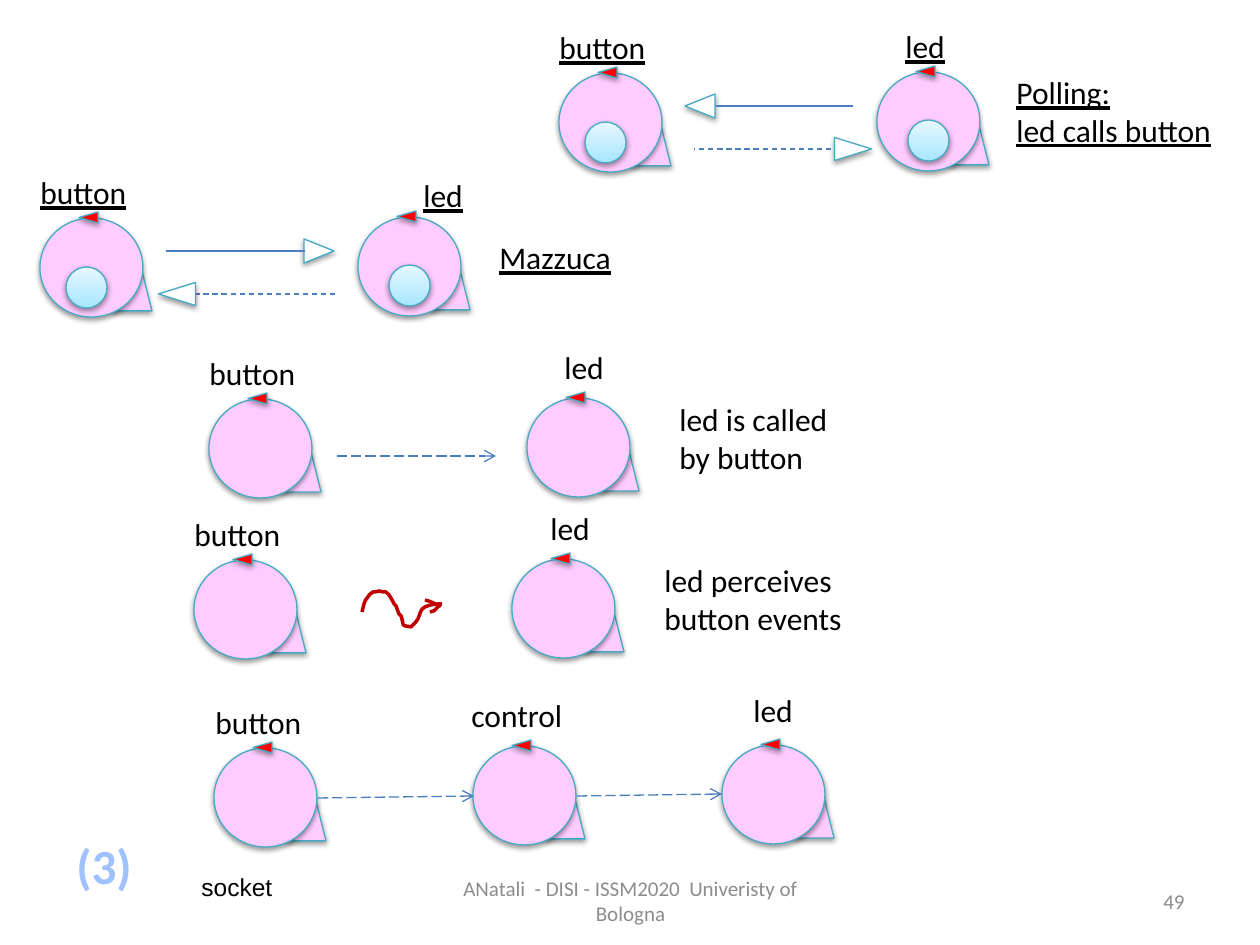
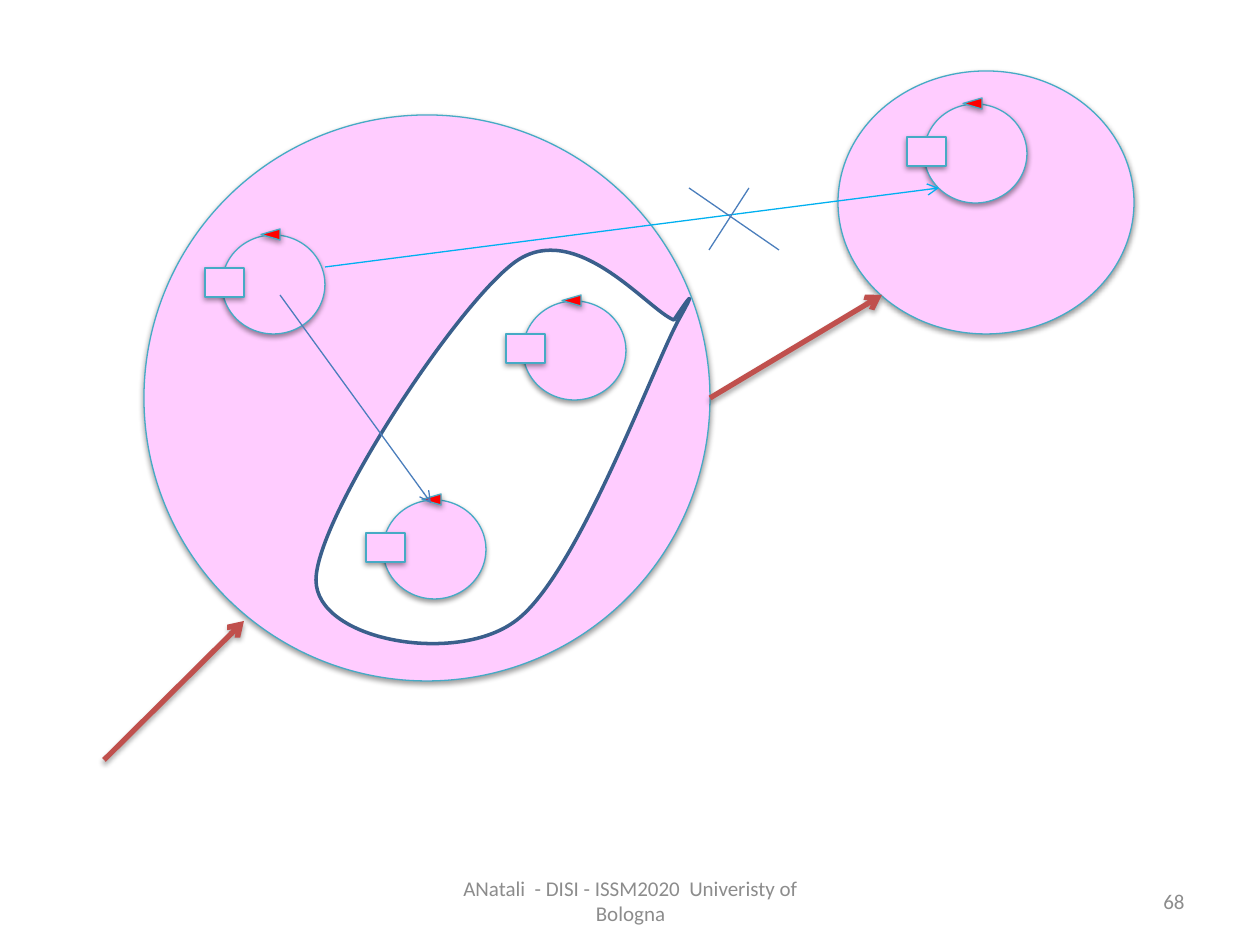
from lxml import etree
from pptx import Presentation
from pptx.dml.color import RGBColor
from pptx.enum.dml import MSO_LINE
from pptx.enum.shapes import MSO_CONNECTOR, MSO_SHAPE
from pptx.enum.text import MSO_ANCHOR, MSO_AUTO_SIZE, PP_ALIGN
from pptx.oxml.ns import qn
from pptx.util import Emu, Pt

PX = 914400 / 126

PINK = RGBColor(0xFF, 0xCC, 0xFF)
TEAL = RGBColor(0x46, 0xAA, 0xC5)
RED = RGBColor(0xFF, 0x00, 0x00)
WHITE = RGBColor(0xFF, 0xFF, 0xFF)
BLACK = RGBColor(0x00, 0x00, 0x00)
GREY = RGBColor(0x8C, 0x8C, 0x8C)
BLUE = RGBColor(0x4B, 0x7E, 0xBC)
NAVY = RGBColor(0x3A, 0x5F, 0x8C)
CYAN = RGBColor(0x00, 0xB0, 0xF0)
PALE_BLUE = RGBColor(0xA0, 0xC1, 0xFF)
CORE_DARK = RGBColor(0xA7, 0xE6, 0xFF)
CORE_LIGHT = RGBColor(0xE7, 0xF8, 0xFF)
BRICK = RGBColor(0xC0, 0x50, 0x4D)
CRIMSON = RGBColor(0xC0, 0x00, 0x00)

OVAL = MSO_SHAPE.OVAL
TRIANGLE = MSO_SHAPE.ISOSCELES_TRIANGLE
RECTANGLE = MSO_SHAPE.RECTANGLE
PARALLELOGRAM = MSO_SHAPE.PARALLELOGRAM
STRAIGHT = MSO_CONNECTOR.STRAIGHT
DASH, LONG_DASH = MSO_LINE.DASH, MSO_LINE.LONG_DASH
LEFT, CENTER, RIGHT = PP_ALIGN.LEFT, PP_ALIGN.CENTER, PP_ALIGN.RIGHT
TOP, MIDDLE = MSO_ANCHOR.TOP, MSO_ANCHOR.MIDDLE
GROW, FIXED = MSO_AUTO_SIZE.SHAPE_TO_FIT_TEXT, MSO_AUTO_SIZE.NONE

LED_DX, LED_DY = 318, -1
FOOTER = "ANatali  - DISI - ISSM2020  Univeristy of Bologna"
LABEL_WIDTHS = {"button": 113, "led": 66, "control": 117}

# Each outline: frame (left, top, right, bottom), start, then segments of
# one point (straight) or three points (cubic curve).
SQUIGGLE = ((362, 591, 443, 627), (362, 612), [
    ((363, 609), (364, 600), (368, 597)),
    ((369, 596), (370, 593), (373, 592)),
    ((374, 592), (377, 592), (379, 591)),
    ((382, 592), (384, 592), (386, 592)),
    ((391, 595), (393, 604), (396, 606)),
    ((399, 614),),
    ((401, 615), (402, 617), (402, 619)),
    ((404, 627), (401, 625), (411, 627)),
    ((416, 622), (416, 622), (418, 619)),
    ((420, 615), (420, 609), (425, 607)),
    ((432, 604), (436, 604), (442, 604)),
])
SQUIGGLE_BARBS = [
    ((425, 600, 441, 606), (441, 606), [((427, 601), (433, 602), (425, 600))]),
    ((430, 604, 441, 612), (441, 604), [((432, 612), (437, 610), (430, 612))]),
]
HOLE = ((316, 249, 689, 644), (316, 580), [
    ((316, 640), (454, 665), (514, 622)),
    ((575, 580), (651, 372), (678, 321)),
    ((706, 271), (674, 320), (674, 320)),
    ((648, 310), (576, 218), (515, 262)),
    ((455, 306), (316, 519), (316, 580)),
])


def emu(*lengths):
    return [Emu(round(n * PX)) for n in lengths]


def set_shadow(sp, alpha=38, dist=1.6):
    effects = sp._element.spPr.find(qn("a:effectLst"))
    shadow = etree.SubElement(effects, qn("a:outerShdw"), blurRad=str(Pt(3.1)),
                              dist=str(Pt(dist)), dir="5400000", rotWithShape="0")
    color = etree.SubElement(shadow, qn("a:srgbClr"), val="000000")
    etree.SubElement(color, qn("a:alpha"), val=str(alpha * 1000))


def shape(s, kind, x, y, w, h, fill=PINK, rotation=0):
    """Filled preset with the thin teal outline and soft shadow."""
    sp = s.shapes.add_shape(kind, *emu(x, y, w, h))
    sp.rotation = rotation
    if fill:
        sp.fill.solid()
        sp.fill.fore_color.rgb = fill
    sp.line.color.rgb = TEAL
    sp.line.width = Pt(0.75)
    sp.shadow.inherit = False
    set_shadow(sp)
    return sp


def text(s, lines, x, y, w, h, size=18, font="Calibri", color=BLACK, bold=False,
         underline=False, align=LEFT, anchor=TOP, wrap=False):
    tf = s.shapes.add_textbox(*emu(x, y, w, h)).text_frame
    tf.word_wrap = wrap
    tf.auto_size = FIXED if wrap else GROW
    tf.vertical_anchor = anchor
    for i, content in enumerate(lines.split("\n")):
        p = tf.add_paragraph() if i else tf.paragraphs[0]
        p.alignment = align
        r = p.add_run()
        r.text = content
        r.font.name = font
        r.font.size = Pt(size)
        r.font.color.rgb = color
        r.font.bold = bold
        r.font.underline = underline


def line(s, x1, y1, x2, y2, color=BLUE, width=0.75, dash=None, arrow=False, shadow=False):
    c = s.shapes.add_connector(STRAIGHT, *emu(x1, y1, x2, y2))
    c.line.color.rgb = color
    c.line.width = Pt(width)
    if dash:
        c.line.dash_style = dash
    if arrow:
        etree.SubElement(c.line._get_or_add_ln(), qn("a:tailEnd"), type="arrow")
    etree.SubElement(c._element.spPr, qn("a:effectLst"))
    if shadow:
        set_shadow(c, alpha=35, dist=1.8)


def curve(s, outline, color, fill=None):
    """Freeform spanning its frame, with the frame's diagonal replaced by curves."""
    (left, top, right, bottom), start, segments = outline
    builder = s.shapes.build_freeform(*emu(left, top))
    builder.add_line_segments([emu(right, bottom)], close=False)
    sp = builder.convert_to_shape()
    track = sp._element.spPr.find(".//" + qn("a:path"))
    for step in list(track):
        track.remove(step)

    def add_step(tag, points):
        step = etree.SubElement(track, qn(tag))
        for x, y in points:
            dx, dy = emu(x - left, y - top)
            etree.SubElement(step, qn("a:pt"), x=str(dx), y=str(dy))

    add_step("a:moveTo", [start])
    for points in segments:
        add_step("a:lnTo" if len(points) == 1 else "a:cubicBezTo", points)
    if fill:
        add_step("a:close", [])
        sp.fill.solid()
        sp.fill.fore_color.rgb = fill
    else:
        sp.fill.background()
    sp.line.color.rgb = color
    sp.line.width = Pt(2)
    sp.shadow.inherit = False


def body(s, x, y):
    shape(s, OVAL, x, y, 103, 99)


def marker(s, x, y):
    shape(s, TRIANGLE, x + 43, y - 10, 11, 19, RED, 270)


def actor(s, x, y, label, dx, dy, underline=False):
    """Circle with a foot behind it and a label placed relative to it."""
    foot = shape(s, PARALLELOGRAM, x + 63, y + 53, 49, 40)
    foot._element.spPr.find(qn("a:xfrm")).set("flipV", "1")
    body(s, x, y)
    marker(s, x, y)
    text(s, label, x + dx, y + dy, LABEL_WIDTHS[label], 50, underline=underline)


def component(s, x, y):
    """Circle with a small port on its left side."""
    body(s, x, y)
    shape(s, RECTANGLE, x - 17, y + 33, 39, 29)
    marker(s, x, y)


def core(s, x, y):
    sp = shape(s, OVAL, x, y, 41, 41, fill=None)
    sp.fill.gradient()
    sp.fill.gradient_angle = 90
    for stop, color in zip(sp.fill.gradient_stops, (CORE_DARK, CORE_LIGHT)):
        stop.color.rgb = color


def pair(s, x, y, led_dx, led_dy, underline=False):
    """A button and, to its right, a led."""
    actor(s, x, y, "button", -12, -51, underline)
    actor(s, x + LED_DX, y + LED_DY, "led", led_dx, led_dy, underline)


def cored_pair(s, x, y, led_dx, led_dy):
    pair(s, x, y, led_dx, led_dy, underline=True)
    core(s, x + 26, y + 49)
    core(s, x + LED_DX + 31, y + LED_DY + 48)


def head(s, cx, cy, base, length, rotation):
    """White triangular arrowhead centred on a point."""
    shape(s, TRIANGLE, cx - base / 2, cy - length / 2, base, length, WHITE, rotation)


def request(s, start, end, cx, y, rotation):
    head(s, cx, y, 24, 30, rotation)
    line(s, start, y, end, y)


def reply(s, start, end, cx, y, rotation):
    line(s, start, y, end, y, dash=DASH)
    head(s, cx, y, 23, 37, rotation)


def footer(s, number):
    style = dict(size=12, color=GREY, anchor=MIDDLE, wrap=True)
    text(s, FOOTER, 431, 876, 399, 50, align=CENTER, **style)
    text(s, str(number), 903, 876, 294, 50, align=RIGHT, **style)


def interactions_slide(s):
    footer(s, 49)
    text(s, "(3)", 63, 829, 82, 72, size=28, color=PALE_BLUE, bold=True, align=CENTER)
    text(s, "socket", 189, 866, 97, 43, size=14, font="Arial")

    pair(s, 209, 399, 25, -56)
    line(s, 337, 456, 496, 456, dash=LONG_DASH, arrow=True)
    text(s, "led is called\nby button", 667, 394, 175, 89)

    pair(s, 194, 560, 26, -56)
    text(s, "led perceives\nbutton events", 652, 555, 205, 89)
    curve(s, SQUIGGLE, CRIMSON)
    for barb in SQUIGGLE_BARBS:
        curve(s, barb, CRIMSON)

    actor(s, 214, 748, "button", -11, -51)
    actor(s, 722, 745, "led", 19, -60)
    actor(s, 473, 746, "control", -14, -56)
    line(s, 318, 798, 474, 796, dash=LONG_DASH, arrow=True)
    line(s, 577, 796, 722, 794, dash=LONG_DASH, arrow=True)

    cored_pair(s, 559, 73, 16, -51)
    text(s, "Polling:\nled calls button", 1004, 67, 223, 89, underline=True)
    request(s, 853, 716, 700, 106, 270)
    reply(s, 867, 694, 853, 149, 90)

    cored_pair(s, 40, 218, 53, -47)
    text(s, "Mazzuca", 487, 232, 139, 50, underline=True)
    request(s, 166, 305, 319, 251, 90)
    reply(s, 335, 164, 177, 294, 270)


def contexts_slide(s):
    shape(s, OVAL, 144, 115, 566, 566)
    curve(s, HOLE, NAVY, fill=WHITE)
    footer(s, 68)
    for x, y in ((222, 235), (523, 301), (383, 500)):
        component(s, x, y)
    line(s, 280, 295, 431, 503, arrow=True)
    line(s, 104, 760, 244, 621, BRICK, 3, arrow=True, shadow=True)
    shape(s, OVAL, 838, 71, 296, 263)
    line(s, 710, 398, 882, 295, BRICK, 3, arrow=True, shadow=True)
    component(s, 924, 104)
    line(s, 325, 267, 939, 188, CYAN, arrow=True)
    line(s, 689, 188, 779, 250)
    line(s, 749, 188, 709, 250)


def main():
    prs = Presentation()
    prs.slide_width, prs.slide_height = emu(1260, 945)
    blank = prs.slide_layouts[6]
    for build in (interactions_slide, contexts_slide):
        build(prs.slides.add_slide(blank))
    prs.save("out.pptx")


if __name__ == "__main__":
    main()
